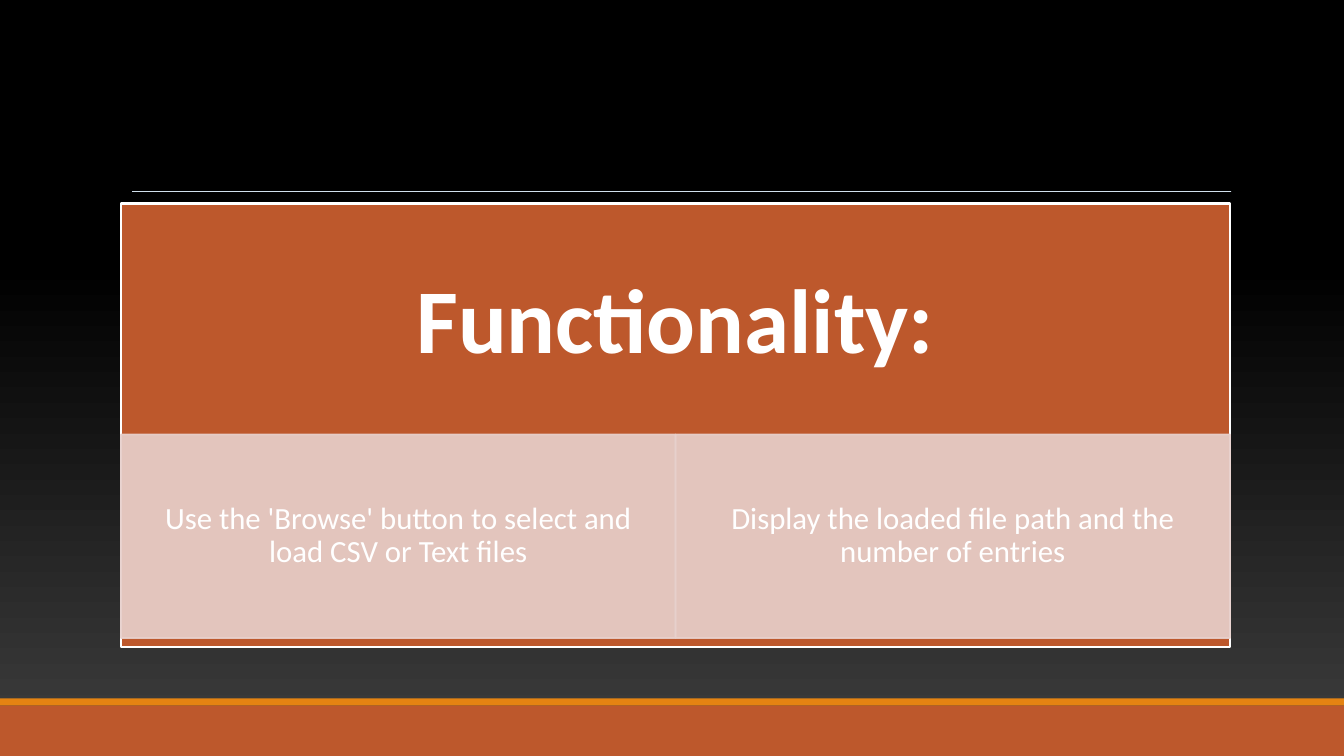
from dataclasses import dataclass

from lxml import etree
from pptx import Presentation
from pptx.dml.color import RGBColor
from pptx.enum.shapes import MSO_CONNECTOR, MSO_SHAPE
from pptx.enum.text import MSO_ANCHOR, PP_ALIGN
from pptx.oxml.ns import qn
from pptx.shapes.autoshape import Shape
from pptx.util import Inches, Pt

RECTANGLE = MSO_SHAPE.RECTANGLE
STRAIGHT = MSO_CONNECTOR.STRAIGHT
MIDDLE = MSO_ANCHOR.MIDDLE
CENTER = PP_ALIGN.CENTER

BLACK = RGBColor(0x00, 0x00, 0x00)
CHARCOAL = RGBColor(0x3F, 0x3F, 0x3F)
WHITE = RGBColor(0xFF, 0xFF, 0xFF)
PALE_BLUE = RGBColor(0xCC, 0xDD, 0xEA)
ORANGE = RGBColor(0xE4, 0x83, 0x12)
RUST = RGBColor(0xBD, 0x58, 0x2C)
BLUSH = RGBColor(0xE8, 0xD1, 0xCD)

SLIDE_WIDTH, SLIDE_HEIGHT = 13.33, 7.5
PANEL_LEFT, PANEL_TOP, PANEL_WIDTH, PANEL_HEIGHT = 1.2, 2.02, 11, 4.4
HEADING_HEIGHT = 2.38
CARD_TOP, CARD_HEIGHT = 4.31, 2.02
CARD_TEXTS = (
    "Use the 'Browse' button to select and load CSV or Text files",
    "Display the loaded file path and the number of entries",
)


@dataclass(frozen=True)
class Block:
    left: float
    top: float
    width: float
    height: float
    fill: RGBColor
    line: RGBColor | None = None
    line_width: float = 0
    opacity: int = 100


def set_opacity(color_parent, percent: int) -> None:
    """Add an alpha value to every RGB colour below the given element."""
    for color in color_parent.iter(qn("a:srgbClr")):
        etree.SubElement(color, qn("a:alpha")).set("val", str(percent * 1000))


def draw_block(shapes, block: Block) -> Shape:
    shape = shapes.add_shape(
        RECTANGLE, Inches(block.left), Inches(block.top),
        Inches(block.width), Inches(block.height),
    )
    shape.shadow.inherit = False
    shape.fill.solid()
    shape.fill.fore_color.rgb = block.fill
    if block.line is None:
        shape.line.fill.background()
    else:
        shape.line.color.rgb = block.line
        shape.line.width = Pt(block.line_width)
    if block.opacity < 100:
        set_opacity(shape.element.spPr, block.opacity)
    return shape


def write_text(shape: Shape, text: str, *, size: float, bold: bool = False,
               margin_x: float, margin_y: float) -> None:
    frame = shape.text_frame
    frame.word_wrap = True
    frame.vertical_anchor = MIDDLE
    frame.margin_left = frame.margin_right = Inches(margin_x)
    frame.margin_top = frame.margin_bottom = Inches(margin_y)
    paragraph = frame.paragraphs[0]
    paragraph.alignment = CENTER
    paragraph.line_spacing = 0.9
    run = paragraph.add_run()
    run.text = text
    run.font.name = "Calibri"
    run.font.size = Pt(size)
    run.font.bold = bold
    run.font.color.rgb = WHITE


def draw_rule(shapes, color: RGBColor, opacity: int) -> None:
    rule = shapes.add_connector(
        STRAIGHT, Inches(1.31), Inches(1.9), Inches(12.21), Inches(1.9)
    )
    rule.line.color.rgb = color
    rule.line.width = Pt(0.5)
    properties = rule.element.spPr
    if opacity < 100:
        set_opacity(properties, opacity)
    etree.SubElement(properties, qn("a:effectLst"))


def paint_background(slide) -> None:
    fill = slide.background.fill
    fill.gradient()
    fill.gradient_angle = 90
    for stop, position, color in zip(
        fill.gradient_stops, (0, 0.65), (CHARCOAL, BLACK)
    ):
        stop.position = position
        stop.color.rgb = color


def draw_panel(slide) -> None:
    shapes = slide.shapes.add_group_shape().shapes
    draw_block(shapes, Block(PANEL_LEFT, PANEL_TOP, PANEL_WIDTH, PANEL_HEIGHT,
                             RUST, WHITE, 2))
    heading = shapes.add_textbox(
        Inches(PANEL_LEFT), Inches(PANEL_TOP),
        Inches(PANEL_WIDTH), Inches(HEADING_HEIGHT),
    )
    write_text(heading, "Functionality:", size=65, bold=True,
               margin_x=0.51, margin_y=0.51)
    card_width = PANEL_WIDTH / len(CARD_TEXTS)
    for index, text in enumerate(CARD_TEXTS):
        card = draw_block(shapes, Block(
            PANEL_LEFT + index * card_width, CARD_TOP, card_width, CARD_HEIGHT,
            BLUSH, BLUSH, 1.25, opacity=90,
        ))
        write_text(card, text, size=22, margin_x=0.17, margin_y=0.03)


def main() -> None:
    presentation = Presentation()
    presentation.slide_width = Inches(SLIDE_WIDTH)
    presentation.slide_height = Inches(SLIDE_HEIGHT)
    slide = presentation.slides.add_slide(presentation.slide_layouts[6])
    paint_background(slide)
    for color, opacity in ((WHITE, 100), (PALE_BLUE, 90)):
        draw_rule(slide.shapes, color, opacity)
    for footer_band in (
        Block(0, 6.93, SLIDE_WIDTH, 0.07, ORANGE),
        Block(0, 7, SLIDE_WIDTH, 0.5, RUST),
    ):
        draw_block(slide.shapes, footer_band)
    draw_panel(slide)
    presentation.save("out.pptx")


if __name__ == "__main__":
    main()
